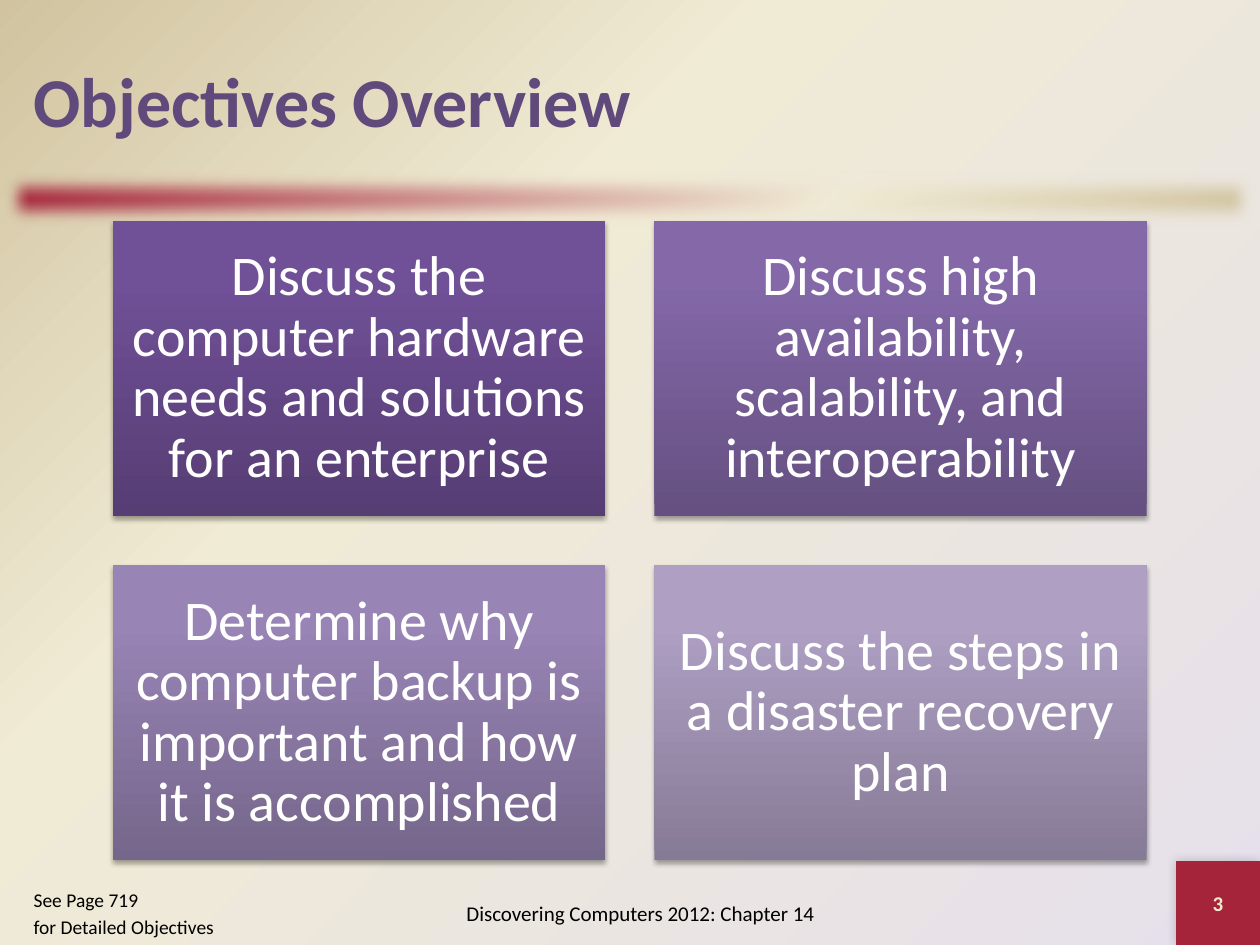
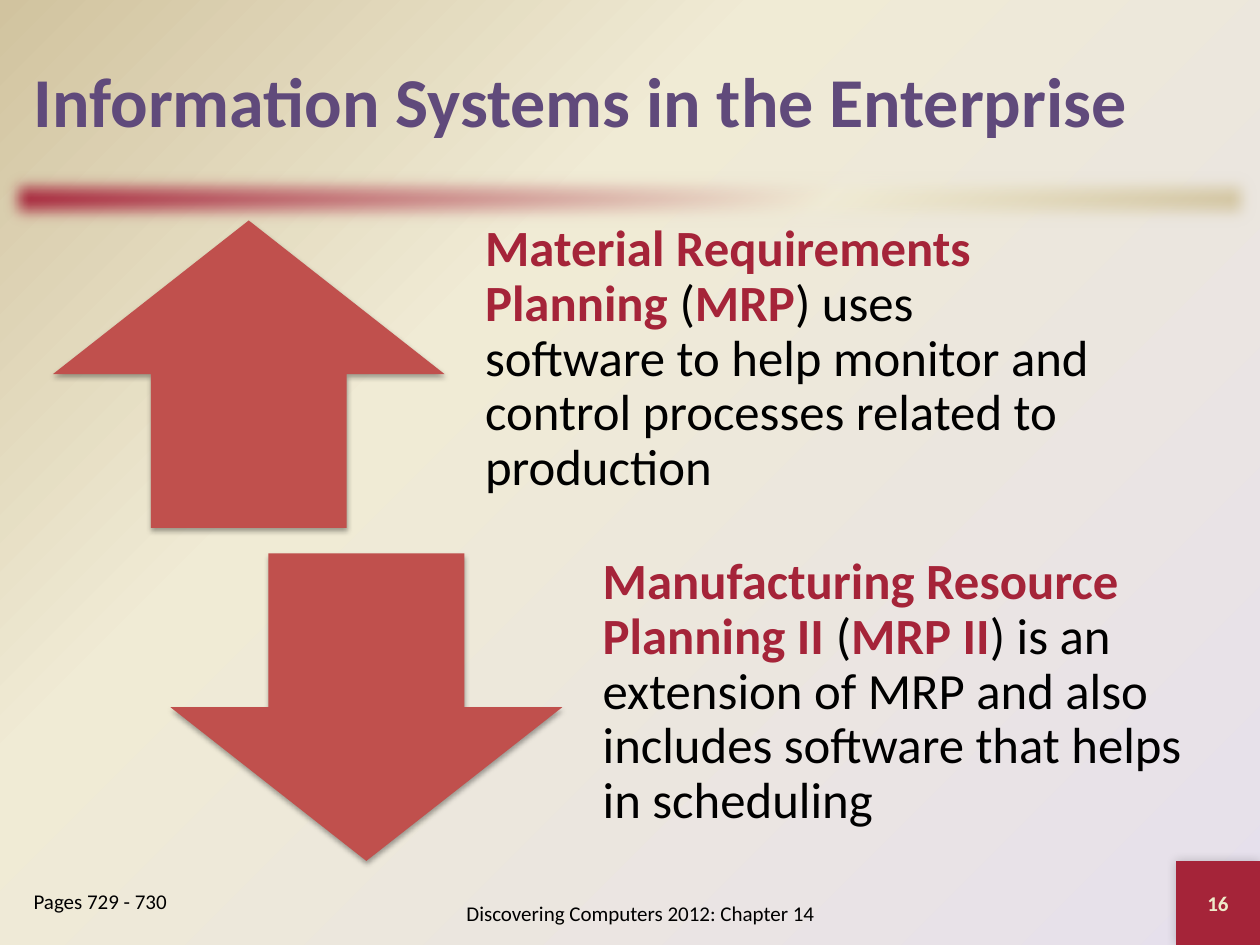
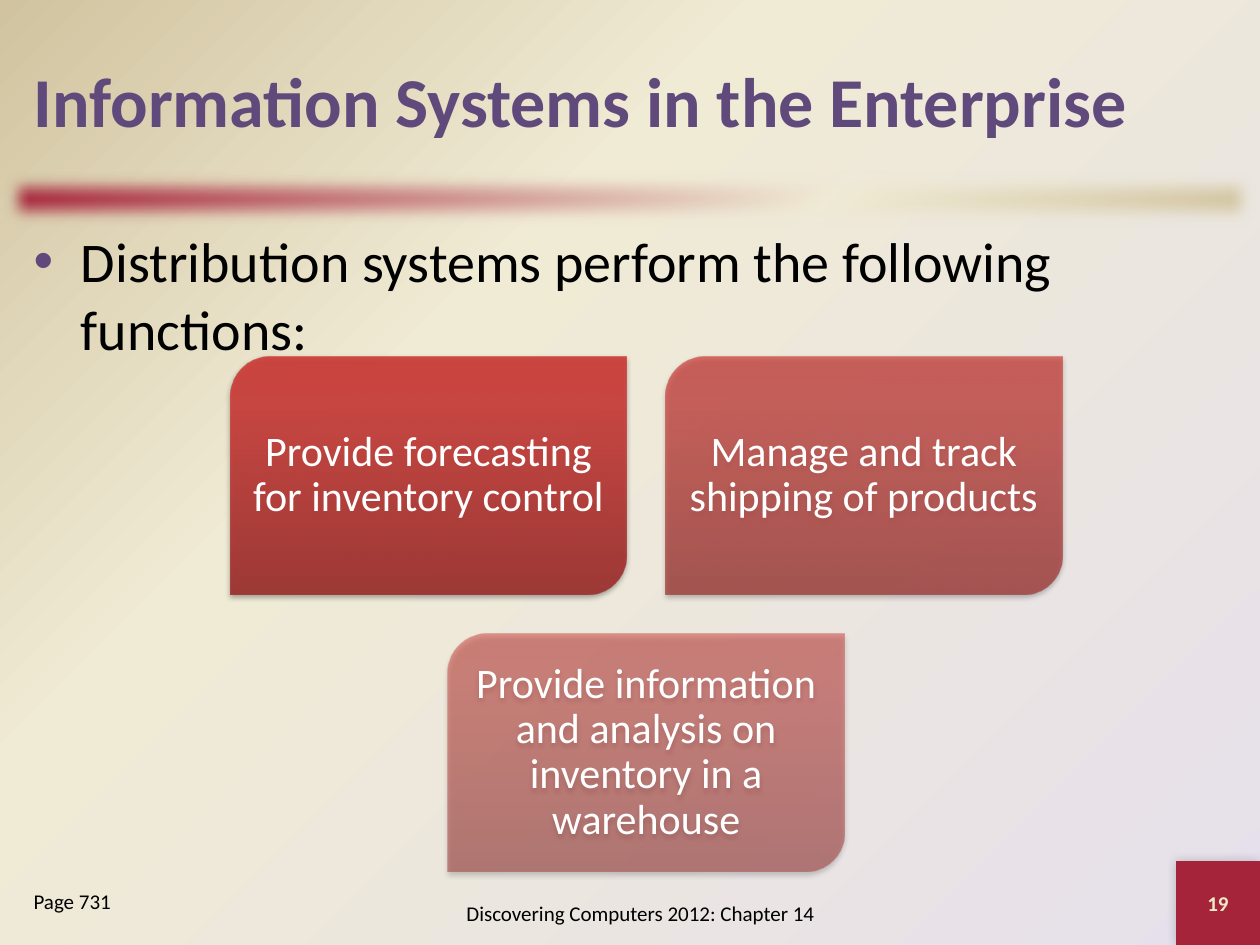
import lxml.etree
import pptx
import pptx.dml.color
import pptx.enum.shapes
import pptx.enum.text
import pptx.oxml.ns
import pptx.util

Pt = pptx.util.Pt
qn = pptx.oxml.ns.qn
SubElement = lxml.etree.SubElement
SHAPE = pptx.enum.shapes.MSO_SHAPE
ALIGN = pptx.enum.text.PP_ALIGN
ANCHOR = pptx.enum.text.MSO_ANCHOR

FONT = "Calibri"
COLORS = {
    "lilac": "E6E0EC", "cream": "F0EBD5", "sand": "D1C39F",
    "crimson": "A52439", "purple": "604A7B", "brick": "C0504D",
    "number": "EEEBCA", "black": "000000", "white": "FFFFFF",
}
BAND_STOPS = [(0, "A52439"), (65, "F0EBD5"), (100, "D1C39F")]
PAGE_STOPS = [(0, "E6E0EC"), (65, "F0EBD5"), (100, "D1C39F")]
PURPLE_STOPS = [
    [(0, "563D74"), (80, "705097"), (100, "704F99")],
    [(0, "655081"), (80, "8468A8"), (100, "8467AA")],
    [(0, "75668B"), (80, "9884B5"), (100, "9984B7")],
    [(0, "867B96"), (80, "AE9FC3"), (100, "AE9FC4")],
]
RED_STOPS = [(0, "9C2F2D"), (80, "CB3E3A"), (100, "CE3B37")]
FOOTER = "Discovering Computers 2012: Chapter 14"
CONTENT_TOP = 126
INDENT = 27


def rgb(name):
    return pptx.dml.color.RGBColor.from_string(COLORS[name])


def paint_gradient(fill, element, stops, angle=None, opacity=100):
    """Fill with stops along an angle, or around the lower right corner."""
    fill.gradient()
    gradient = element.find(".//" + qn("a:gradFill"))
    gradient.clear()
    gradient.set("rotWithShape", "1")
    stop_list = SubElement(gradient, qn("a:gsLst"))
    for position, color in stops:
        stop = SubElement(stop_list, qn("a:gs"), pos=str(position * 1000))
        tint = SubElement(stop, qn("a:srgbClr"), val=color)
        if opacity < 100:
            SubElement(tint, qn("a:alpha"), val=str(opacity * 1000))
    if angle is None:
        circle = SubElement(gradient, qn("a:path"), path="circle")
        SubElement(circle, qn("a:fillToRect"), l="100000", t="100000")
    else:
        SubElement(gradient, qn("a:lin"), ang=str(angle * 60000), scaled="0")


def add_effect(shape, tag, **attributes):
    effects = shape.element.find(".//" + qn("a:effectLst"))
    return SubElement(effects, qn(tag), **{k: str(v) for k, v in attributes.items()})


def add_shadow(shape, opacity=35, blur=3.1, distance=1.8, angle=90):
    shadow = add_effect(shape, "a:outerShdw", blurRad=Pt(blur), dist=Pt(distance),
                        dir=angle * 60000, rotWithShape=0)
    tint = SubElement(shadow, qn("a:srgbClr"), val=COLORS["black"])
    SubElement(tint, qn("a:alpha"), val=str(opacity * 1000))


def add_figure(slide, kind, left, top, width, height, color=None):
    figure = slide.shapes.add_shape(kind, Pt(left), Pt(top), Pt(width), Pt(height))
    figure.shadow.inherit = False
    figure.line.fill.background()
    if color:
        figure.fill.solid()
        figure.fill.fore_color.rgb = rgb(color)
    return figure


def add_run(paragraph, text, size, color, bold=False):
    run = paragraph.add_run()
    run.text = text
    run.font.name = FONT
    run.font.size = Pt(size)
    run.font.bold = bold
    run.font.color.rgb = rgb(color)


def prepare_frame(holder, margins=(7.2, 3.6, 7.2, 3.6), anchor=ANCHOR.MIDDLE):
    frame = holder.text_frame
    frame.word_wrap = True
    frame.auto_size = pptx.enum.text.MSO_AUTO_SIZE.NONE
    frame.vertical_anchor = anchor
    (frame.margin_left, frame.margin_top,
     frame.margin_right, frame.margin_bottom) = map(Pt, margins)
    return frame


def write_line(holder, text, size, color, bold=False, align=ALIGN.CENTER, **frame_options):
    paragraph = prepare_frame(holder, **frame_options).paragraphs[0]
    paragraph.alignment = align
    add_run(paragraph, text, size, color, bold)
    return paragraph


def place(holder, left, top, width, height):
    holder.left, holder.top = Pt(left), Pt(top)
    holder.width, holder.height = Pt(width), Pt(height)


def fill_list(holder, lines, size, bullet=None):
    frame = prepare_frame(holder, anchor=ANCHOR.TOP)
    for index, line in enumerate(lines):
        paragraph = frame.add_paragraph() if index else frame.paragraphs[0]
        properties = paragraph._p.get_or_add_pPr()
        properties.set("marL", str(Pt(INDENT)))
        properties.set("indent", str(-Pt(INDENT)))
        if bullet:
            tint = SubElement(properties, qn("a:buClr"))
            SubElement(tint, qn("a:srgbClr"), val=COLORS["purple"])
            SubElement(properties, qn("a:buChar"), char=bullet)
        else:
            SubElement(properties, qn("a:buNone"))
        paragraph.space_before = Pt(0.2 * size if index else 0)
        add_run(paragraph, line, size, "black")


def add_page(deck, layout, title, number, note, note_size=12):
    """Add a slide with band, title, footer, number and page note."""
    slide = deck.slides.add_slide(deck.slide_layouts.get_by_name(layout))
    band = add_figure(slide, SHAPE.RECTANGLE, 0, 96, 720, 36)
    paint_gradient(band.fill, band.element, BAND_STOPS, 45)
    add_effect(band, "a:softEdge", rad=Pt(10))

    place(slide.shapes.title, 12, 12, 696, 90)
    write_line(slide.shapes.title, title, 40, "purple", True, ALIGN.LEFT)

    number_square = add_figure(slide, SHAPE.RECTANGLE, 672, 492, 48, 48, "crimson")
    add_shadow(number_square, 20, 6, 0, 225)
    write_line(number_square, str(number), 12, "number", True)

    footer = slide.shapes.add_textbox(Pt(216), Pt(504), Pt(300), Pt(36))
    write_line(footer, FOOTER, 12, "black")

    page_note = list(slide.placeholders)[-1]
    place(page_note, 12, 504, 132, 36)
    fill_list(page_note, note, note_size)
    return slide


def add_block_grid(slide, kind, blocks, left, top, width, height, gap, size, margin):
    """Lay blocks out two to a row; a single last block is centred."""
    for index, (text, stops, opacity) in enumerate(blocks):
        row, column = divmod(index, 2)
        if index == len(blocks) - 1 and column == 0:
            column = 0.5
        block = add_figure(slide, kind, left + column * (width + gap),
                           top + row * (height + gap), width, height)
        paint_gradient(block.fill, block.element, stops, 270, opacity)
        add_shadow(block)
        paragraph = write_line(block, text, size, "white", margins=[margin] * 4)
        paragraph.line_spacing = 0.9


def add_arrow_item(slide, kind, left, top, term, acronym, explanation):
    height = 175.7
    arrow = add_figure(slide, kind, left, top, 223.9, height, "brick")
    add_shadow(arrow)
    definition = slide.shapes.add_textbox(Pt(left + 230.4), Pt(top), Pt(379.4), Pt(height))
    paragraph = prepare_frame(definition, (16.6, 0, 16.6, 16.6)).paragraphs[0]
    paragraph.line_spacing = 0.9
    add_run(paragraph, term + " ", 29, "crimson", True)
    add_run(paragraph, "(", 29, "black")
    add_run(paragraph, acronym, 29, "crimson", True)
    add_run(paragraph, ") " + explanation, 29, "black")


def add_objectives(deck):
    slide = add_page(deck, "Title and Content", "Objectives Overview", 3,
                     ["See Page 719", "for Detailed Objectives"], 11.1)
    objectives = [
        "Discuss the computer hardware needs and solutions for an enterprise",
        "Discuss high availability, scalability, and interoperability",
        "Determine why computer backup is important and how it is accomplished",
        "Discuss the steps in a disaster recovery plan",
    ]
    blocks = [(text, stops, 100) for text, stops in zip(objectives, PURPLE_STOPS)]
    add_block_grid(slide, SHAPE.RECTANGLE, blocks, 64.6, CONTENT_TOP,
                   281.3, 168.8, 28.1, 32, 9.4)


def add_planning(deck):
    slide = add_page(deck, "Title and Content", "Information Systems in the Enterprise",
                     16, ["Pages 729 - 730"])
    add_arrow_item(slide, SHAPE.UP_ARROW, 30.2, CONTENT_TOP,
                   "Material Requirements Planning", "MRP",
                   "uses software to help monitor and control processes "
                   "related to production")
    add_arrow_item(slide, SHAPE.DOWN_ARROW, 97.4, CONTENT_TOP + 190.3,
                   "Manufacturing Resource Planning II", "MRP II",
                   "is an extension of MRP and also includes software "
                   "that helps in scheduling")


def add_distribution(deck):
    slide = add_page(deck, "Two Content", "Information Systems in the Enterprise",
                     19, ["Page 731"])
    introduction = list(slide.placeholders)[1]
    place(introduction, 12, CONTENT_TOP, 696, 366)
    fill_list(introduction, ["Distribution systems perform the following functions:"],
              32, "•")
    blocks = [
        ("Provide forecasting for inventory control", RED_STOPS, 90),
        ("Manage and track shipping of products", RED_STOPS, 70),
        ("Provide information and analysis on inventory in a warehouse", RED_STOPS, 50),
    ]
    add_block_grid(slide, SHAPE.ROUND_2_DIAG_RECTANGLE, blocks, 131.6, 203.6,
                   226.4, 136, 22.4, 24, 0.5)


def main():
    deck = pptx.Presentation()
    deck.slide_width, deck.slide_height = Pt(720), Pt(540)
    master = deck.slide_master
    paint_gradient(master.background.fill, master.element, PAGE_STOPS)
    add_objectives(deck)
    add_planning(deck)
    add_distribution(deck)
    deck.save("out.pptx")


if __name__ == "__main__":
    main()
